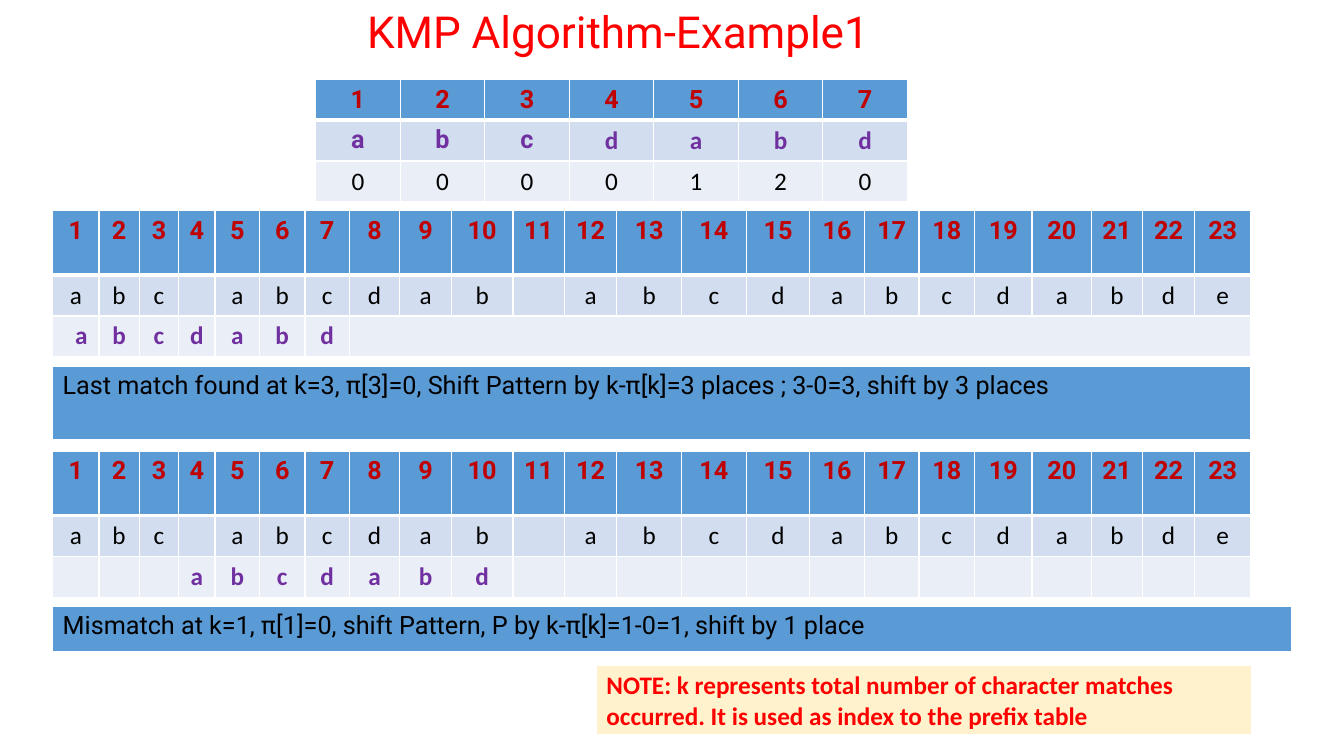
from lxml import etree
from pptx import Presentation
from pptx.dml.color import RGBColor
from pptx.enum.text import MSO_ANCHOR, PP_ALIGN
from pptx.oxml.ns import qn
from pptx.util import Pt

CENTER, LEFT = PP_ALIGN.CENTER, PP_ALIGN.LEFT
MIDDLE = MSO_ANCHOR.MIDDLE

COLORS = {
    "red": "FF0000", "dark red": "C00000", "purple": "7030A0",
    "black": "000000", "white": "FFFFFF",
    "blue": "5B9BD5", "light blue": "D2DEEF", "pale blue": "EAEFF7",
    "cream": "FFF2CC",
}
BAND_FILLS = ("blue", "light blue", "pale blue")

# Text styles: font, size, colour, bold
TITLE = ("Roboto", 31.5, "red", False)
INDEX = ("Roboto", 18, "dark red", True)
PATTERN = ("Calibri", 18, "purple", True)
PATTERN_ROBOTO = ("Roboto", 18, "purple", True)
PLAIN = ("Calibri", 18, "black", False)
STEP = ("Roboto", 18, "black", False)
NOTE = ("Calibri", 18, "red", True)

LEFT_EDGE = 37.6
TEXT_WIDTHS = [33.1, 28.8, 28.2, 26, 31.8, 32.4, 31.8, 36, 36.8, 44, 36.8, 37.5,
               46.2, 46.2, 45.5, 39, 39, 39.7, 41.1, 42.5, 36.2, 37.6, 39.8]
SEARCHED_TEXT = "abc abcdab abcdabcdabde"
SEARCH_PATTERN = "abcdabd"


def color(name):
    return RGBColor.from_string(COLORS[name])


def write(paragraph, text, style, align):
    font_name, size, color_name, bold = style
    paragraph.alignment = align
    run = paragraph.add_run()
    run.text = text
    run.font.name = font_name
    run.font.size = Pt(size)
    run.font.bold = bold
    run.font.color.rgb = color(color_name)


def set_borders(cell, bottom_width):
    """Draw white lines round a cell; they must precede its fill in the XML."""
    properties = cell._tc.get_or_add_tcPr()
    sides = (("a:lnL", 1), ("a:lnR", 1), ("a:lnT", 1), ("a:lnB", bottom_width))
    for position, (tag, width) in enumerate(sides):
        line = etree.Element(qn(tag), w=str(int(Pt(width))))
        fill = etree.SubElement(line, qn("a:solidFill"))
        etree.SubElement(fill, qn("a:srgbClr"), val=COLORS["white"])
        properties.insert(position, line)


def styled(texts, style):
    return [(text.strip(), style) for text in texts]


def indexes(count):
    return styled(map(str, range(1, count + 1)), INDEX)


def add_grid(slide, left, top, widths, heights, rows, fills, align=CENTER):
    """Add a table whose rows hold (text, style) pairs."""
    frame = slide.shapes.add_table(len(rows), len(widths), Pt(left), Pt(top),
                                   Pt(sum(widths)), Pt(sum(heights)))
    table = frame.table
    table.first_row = table.horz_banding = False
    for column, width in zip(table.columns, widths):
        column.width = Pt(width)
    for r, (height, entries, fill) in enumerate(zip(heights, rows, fills)):
        table.rows[r].height = Pt(height)
        for c, (text, style) in enumerate(entries):
            cell = table.cell(r, c)
            cell.fill.solid()
            cell.fill.fore_color.rgb = color(fill)
            set_borders(cell, 3 if r == 0 else 1)
            if text:
                write(cell.text_frame.paragraphs[0], text, style, align)
    return table


def add_banner(slide, left, top, width, height, text, style, fill):
    add_grid(slide, left, top, [width], [height], [[(text, style)]], [fill], LEFT)


def add_alignment(slide, top, shift):
    """Show the searched text with the pattern moved right by shift places."""
    count = len(SEARCHED_TEXT)
    placed = (" " * shift + SEARCH_PATTERN).ljust(count)
    rows = [indexes(count), styled(SEARCHED_TEXT, PLAIN), styled(placed, PATTERN)]
    return add_grid(slide, LEFT_EDGE, top, TEXT_WIDTHS, [46, 29.2, 29.2], rows, BAND_FILLS)


def add_title(slide, text):
    frame = slide.shapes.add_textbox(Pt(27.4), Pt(9.4), Pt(828), Pt(29.5)).text_frame
    frame.word_wrap = True
    frame.vertical_anchor = MIDDLE
    frame.paragraphs[0].line_spacing = 0.9
    write(frame.paragraphs[0], text, TITLE, CENTER)


def main():
    presentation = Presentation()
    presentation.slide_width, presentation.slide_height = Pt(960), Pt(540)
    slide = presentation.slides.add_slide(presentation.slide_layouts[6])

    add_title(slide, "KMP Algorithm-Example1")

    prefix_rows = [
        indexes(len(SEARCH_PATTERN)),
        styled(SEARCH_PATTERN[:3], PATTERN_ROBOTO) + styled(SEARCH_PATTERN[3:], PATTERN),
        styled("0000120", PLAIN),
    ]
    add_grid(slide, 225.5, 57, [60.4] * 7, [28.3, 29.2, 29.2], prefix_rows, BAND_FILLS)

    first_try = add_alignment(slide, 150.5, shift=0)
    first_try.cell(2, len(SEARCH_PATTERN)).merge(first_try.cell(2, len(SEARCHED_TEXT) - 1))
    first_try.cell(2, 0).margin_left = Pt(15)
    add_banner(slide, LEFT_EDGE, 261.6, 856, 53,
               "Last match found at k=3, π[3]=0, Shift Pattern by k-π[k]=3 places ; "
               "3-0=3, shift by 3 places", STEP, "blue")

    add_alignment(slide, 322.2, shift=3)
    add_banner(slide, LEFT_EDGE, 433.2, 885, 33.5,
               "Mismatch at k=1, π[1]=0, shift Pattern, P by k-π[k]=1-0=1, shift by 1 place",
               STEP, "blue")

    add_banner(slide, 426, 475.2, 468, 50.4,
               "NOTE: k represents total number of character matches occurred. "
               "It is used as index to the prefix table", NOTE, "cream")

    presentation.save("out.pptx")


if __name__ == "__main__":
    main()
